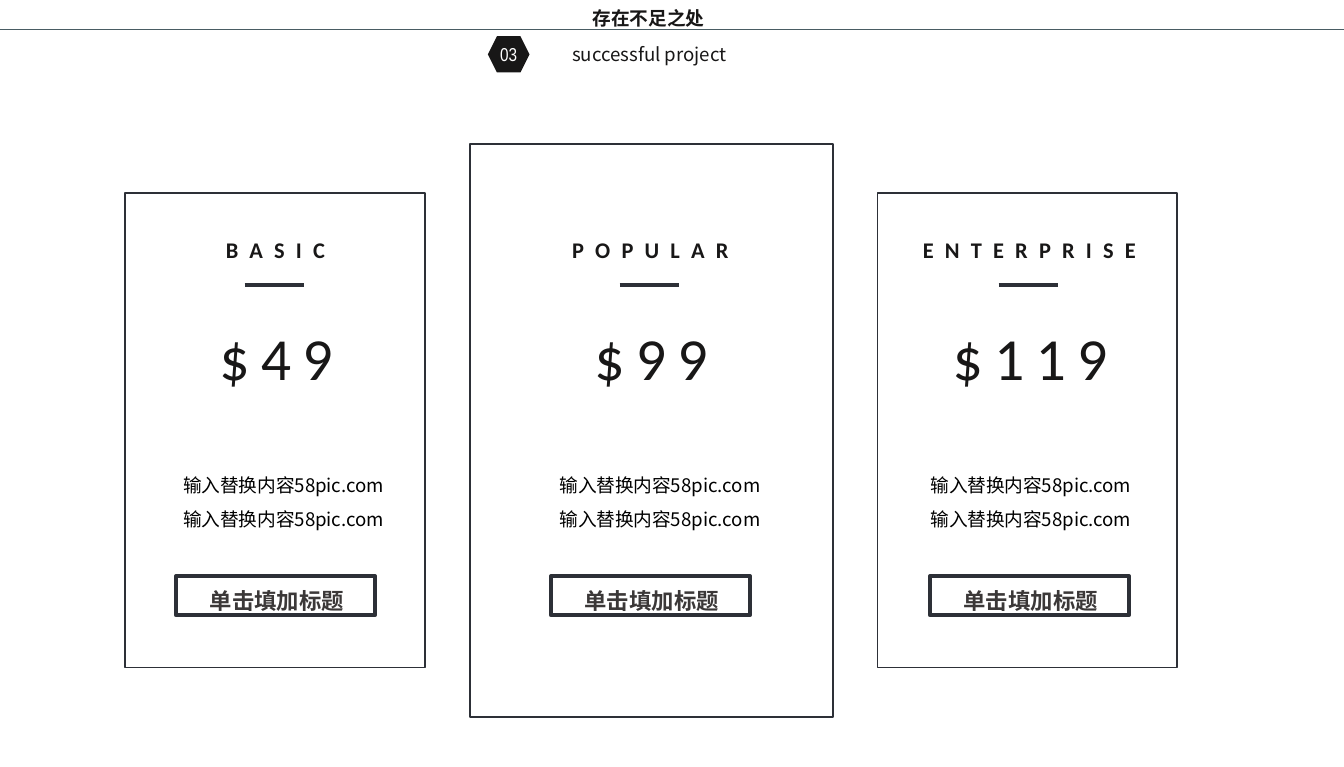
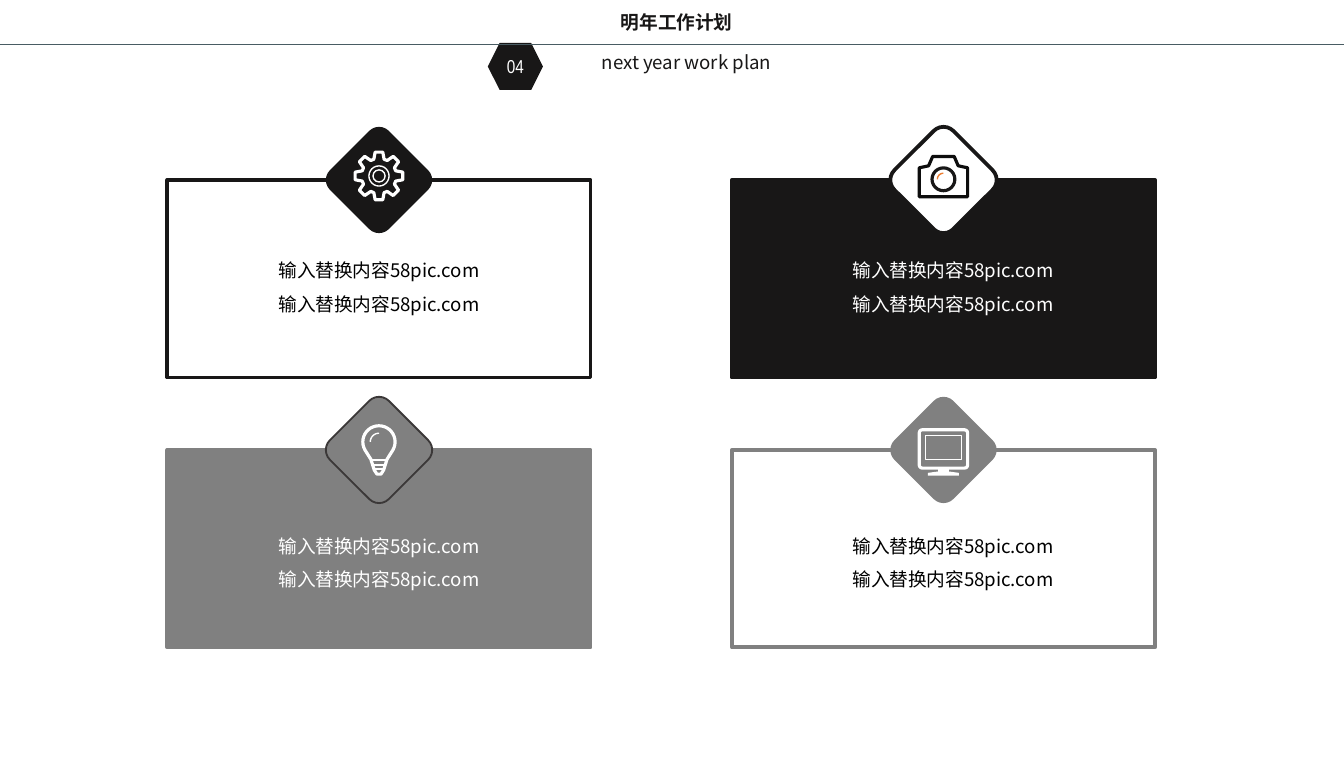
from dataclasses import dataclass
from itertools import product
from math import cos, radians, sin

from lxml.etree import SubElement
from pptx import Presentation
from pptx.dml.color import RGBColor as Rgb
from pptx.enum.shapes import MSO_CONNECTOR as Link, MSO_SHAPE as Preset
from pptx.enum.text import MSO_ANCHOR as Anchor, MSO_AUTO_SIZE as Fit, PP_ALIGN as Align
from pptx.oxml.ns import qn
from pptx.util import Inches, Pt


@dataclass(frozen=True)
class Theme:
    ink: str = "181717"
    frame: str = "2D3037"
    rule: str = "495C63"
    label: str = "3B3838"
    gray: str = "808080"
    lens: str = "0D0D0D"
    glint: str = "ED7D31"
    white: str = "FFFFFF"
    black: str = "000000"
    body_font: str = "Noto Sans CJK SC"
    latin_font: str = "Calibri"
    number_font: str = "Arial Narrow"
    body: int = 10
    heading: int = 12
    price: int = 32
    tracking: int = 600
    hairline: float = 0.5
    thin: float = 1
    medium: float = 2
    heavy: float = 2.25
    icon_fine: float = 0.75
    icon_bold: float = 1.7


THEME = Theme()
DETAILS = ["输入替换内容58pic.com"] * 2
NO_INSETS = dict.fromkeys(("margin_left", "margin_top", "margin_right", "margin_bottom"), 0)


def assign(target, values):
    for key, value in values.items():
        setattr(target, key, value)


def arc(radius, start, end, step=10):
    return [(radius * cos(radians(a)), radius * sin(radians(a)))
            for a in range(start, end + 1, step)]


def gear_outline():
    tooth = ((-17, 1.3), (-9, 1.8), (9, 1.8), (17, 1.3))
    return [(r * cos(radians(base + turn)), r * sin(radians(base + turn)))
            for base in range(0, 360, 45) for turn, r in tooth]


class Canvas:
    COLUMNS = 100

    def __init__(self, theme):
        self.theme = theme
        self.deck = Presentation()
        assign(self.deck, {"slide_width": Inches(10), "slide_height": Inches(5.71)})
        self.cell = self.deck.slide_width / self.COLUMNS
        self.shapes = None

    def grid(self, *lengths):
        return [round(length * self.cell) for length in lengths]

    def new_slide(self):
        self.shapes = self.deck.slides.add_slide(self.deck.slide_layouts[6]).shapes

    def paint(self, shape, fill=None, line=None, width=1):
        shape.shadow.inherit = False
        if fill:
            shape.fill.solid()
            shape.fill.fore_color.rgb = Rgb.from_string(fill)
        else:
            shape.fill.background()
        if line:
            shape.line.color.rgb = Rgb.from_string(line)
            shape.line.width = Pt(width)
        else:
            shape.line.fill.background()
        return shape

    def shape(self, preset, box, **style):
        return self.paint(self.shapes.add_shape(preset, *self.grid(*box)), **style)

    def outline(self, center, points, closed=True, **style):
        route = [self.grid(center[0] + x, center[1] + y) for x, y in points]
        builder = self.shapes.build_freeform(*route[0], scale=1.0)
        builder.add_line_segments(route[1:], close=closed)
        shape = self.paint(builder.convert_to_shape(), **style)
        if style.get("line"):
            SubElement(shape._element.spPr.find(qn("a:ln")), qn("a:round"))

    def ring(self, center, radius, **style):
        x, y = center
        self.shape(Preset.OVAL, (x - radius, y - radius, 2 * radius, 2 * radius), **style)

    def line(self, start, end, color, width):
        rule = self.shapes.add_connector(Link.STRAIGHT, *self.grid(*start, *end))
        rule.line.color.rgb = Rgb.from_string(color)
        rule.line.width = Pt(width)
        SubElement(rule._element.spPr, qn("a:effectLst"))

    def typeset(self, frame, lines, color, size=None, font=None, bold=False,
                align=Align.CENTER, spacing=None, tracking=None, **frame_format):
        assign(frame, {"word_wrap": True, **frame_format})
        for number, line in enumerate(lines):
            paragraph = frame.add_paragraph() if number else frame.paragraphs[0]
            assign(paragraph, {"alignment": align, "line_spacing": spacing,
                               "space_before": Pt(6) if number else None})
            run = paragraph.add_run()
            run.text = line
            face = font or self.theme.body_font
            run.font.color.rgb = Rgb.from_string(color)
            assign(run.font, {"size": Pt(size or self.theme.body), "bold": bold, "name": face})
            properties = run._r.get_or_add_rPr()
            SubElement(properties, qn("a:ea")).set("typeface", face)
            if tracking:
                properties.set("spc", str(tracking))

    def text(self, box, lines, color, **style):
        frame = self.shapes.add_textbox(*self.grid(*box)).text_frame
        self.typeset(frame, lines, color, auto_size=Fit.SHAPE_TO_FIT_TEXT, **style)

    def details(self, left, top, color):
        self.text((left, top, 21, 5.2), DETAILS, color)

    def header(self, title, subtitle, number, title_at, subtitle_box, badge_box, rule_row):
        t = self.theme
        self.text((*title_at, 28.8, 1.7), [title], t.ink, bold=True, align=Align.LEFT,
                  vertical_anchor=Anchor.MIDDLE, **NO_INSETS)
        self.text(subtitle_box, [subtitle], t.ink, align=Align.LEFT, word_wrap=False)
        badge = self.shape(Preset.HEXAGON, badge_box, fill=t.ink)
        self.typeset(badge.text_frame, [number], t.white, font=t.number_font,
                     word_wrap=False, vertical_anchor=Anchor.MIDDLE)
        self.line((0, rule_row), (self.COLUMNS, rule_row), t.rule, t.hairline)

    def price_card(self, plan, price, frame, axis, name_width, details_left):
        t = self.theme
        tracked = {"font": t.latin_font, "tracking": t.tracking}
        self.shape(Preset.RECTANGLE, frame, line=t.frame, width=t.thin)
        self.text((axis - name_width / 2, 17.1, name_width, 3), [plan], t.ink,
                  size=t.heading, bold=True, word_wrap=False, **tracked)
        self.line((axis - 2.3, 21.2), (axis + 2.1, 21.2), t.frame, t.heavy)
        self.text((axis - 8.5, 23.4, 17.1, 6.4), [price], t.ink, size=t.price, **tracked)
        self.shape(Preset.RECTANGLE, (axis - 7.4, 42.9, 14.8, 2.9),
                   line=t.frame, width=t.heavy)
        self.details(details_left, 34.8, t.black)
        self.text((axis - 6.6, 43.3, 13.4, 2.4), ["单击填加标题"], t.label,
                  size=t.heading, bold=True, spacing=1.2, **NO_INSETS)

    def plan_panel(self, center, panel, diamond, icon, details_at, details_color):
        x, y = center
        self.shape(Preset.RECTANGLE, (x - 15.75, y, 31.5, 14.7), **panel)
        self.shape(Preset.ROUNDED_RECTANGLE, (x - 3.1, y - 3.1, 6.2, 6.2),
                   **diamond).rotation = 45
        icon(self, (x, y))
        self.details(*details_at, details_color)


def gear(canvas, center):
    t = canvas.theme
    hub = (center[0], center[1] - 0.3)
    canvas.outline(hub, gear_outline(), line=t.white, width=t.icon_bold)
    for radius in (0.75, 0.45):
        canvas.ring(hub, radius, line=t.white, width=t.icon_fine)


def camera(canvas, center):
    t = canvas.theme
    body = [(-1.8, -0.9), (-1.1, -1.05), (-0.8, -1.75), (0.8, -1.75),
            (1.1, -1.05), (1.8, -0.9), (1.8, 1.25), (-1.8, 1.25)]
    lens = (center[0], center[1] - 0.05)
    canvas.outline(center, body, line=t.lens, width=t.icon_bold)
    canvas.ring(lens, 0.85, line=t.ink, width=t.icon_bold)
    canvas.outline(lens, arc(0.45, 180, 270), closed=False, line=t.glint, width=t.icon_fine)


def bulb(canvas, center):
    t = canvas.theme
    x, y = glass = (center[0], center[1] - 0.6)
    base = [(0.6, 1.3), (0.35, 2.1), (0.15, 2.4), (-0.15, 2.4), (-0.35, 2.1), (-0.6, 1.3)]
    canvas.outline(glass, arc(1.2, 150, 390) + base, line=t.white, width=t.icon_bold)
    canvas.outline(glass, arc(0.65, 180, 270), closed=False, line=t.white, width=t.icon_fine)
    for half, drop in ((0.6, 1.35), (0.45, 1.7), (0.35, 2)):
        canvas.line((x - half, y + drop), (x + half, y + drop), t.white, t.thin)


def monitor(canvas, center):
    t = canvas.theme
    x, y = center
    stand = [(-0.4, 1.4), (0.4, 1.4), (0.4, 1.6), (1.15, 1.7), (1.15, 1.9),
             (-1.15, 1.9), (-1.15, 1.7), (-0.4, 1.6)]
    case = canvas.shape(Preset.ROUNDED_RECTANGLE, (x - 1.8, y - 1.5, 3.6, 2.85),
                        line=t.white, width=t.icon_bold)
    case.adjustments[0] = 0.08
    canvas.shape(Preset.RECTANGLE, (x - 1.35, y - 1.1, 2.7, 1.8),
                 line=t.white, width=t.icon_fine)
    canvas.outline(center, stand, fill=t.white)


def pricing_slide(canvas):
    canvas.new_slide()
    canvas.header("存在不足之处", "successful project", "03", title_at=(44.1, 0.5),
                  subtitle_box=(41.6, 2.7, 14.3, 2.7),
                  badge_box=(36.3, 2.7, 3.1, 2.7), rule_row=2.2)
    for card in (
        ("BASIC", "$49", (9.3, 14.4, 22.3, 35.3), 20.5, 10.3, 10.6),
        ("POPULAR", "$99", (35, 10.7, 27, 42.7), 48.4, 14.6, 38.6),
        ("ENTERPRISE", "$119", (65.3, 14.4, 22.3, 35.3), 76.6, 18.9, 66.2),
    ):
        canvas.price_card(*card)


def plan_slide(canvas):
    t = canvas.theme
    canvas.new_slide()
    canvas.header("明年工作计划", "next year work plan", "04", title_at=(46.2, 0.8),
                  subtitle_box=(43.8, 3.3, 15.2, 2.7),
                  badge_box=(36.3, 3.2, 4.1, 3.5), rule_row=3.3)
    ink_edge = {"line": t.ink, "width": t.medium}
    gray_edge = {"line": t.gray, "width": t.medium}
    centers = product((13.4, 33.5), (28.2, 70.2))
    details_spots = product((18.8, 39.3), (17.7, 60.4))
    looks = (
        (ink_edge, {"fill": t.ink}, gear, t.black),
        ({"fill": t.ink, **ink_edge}, {"fill": t.white, **ink_edge}, camera, t.white),
        ({"fill": t.gray, **gray_edge},
         {"fill": t.gray, "line": t.label, "width": t.thin}, bulb, t.white),
        (gray_edge, {"fill": t.gray}, monitor, t.black),
    )
    for (y, x), (top, left), (panel, diamond, icon, color) in zip(centers, details_spots, looks):
        canvas.plan_panel((x, y), panel, diamond, icon, (left, top), color)


def main():
    canvas = Canvas(THEME)
    pricing_slide(canvas)
    plan_slide(canvas)
    canvas.deck.save("out.pptx")


if __name__ == "__main__":
    main()
